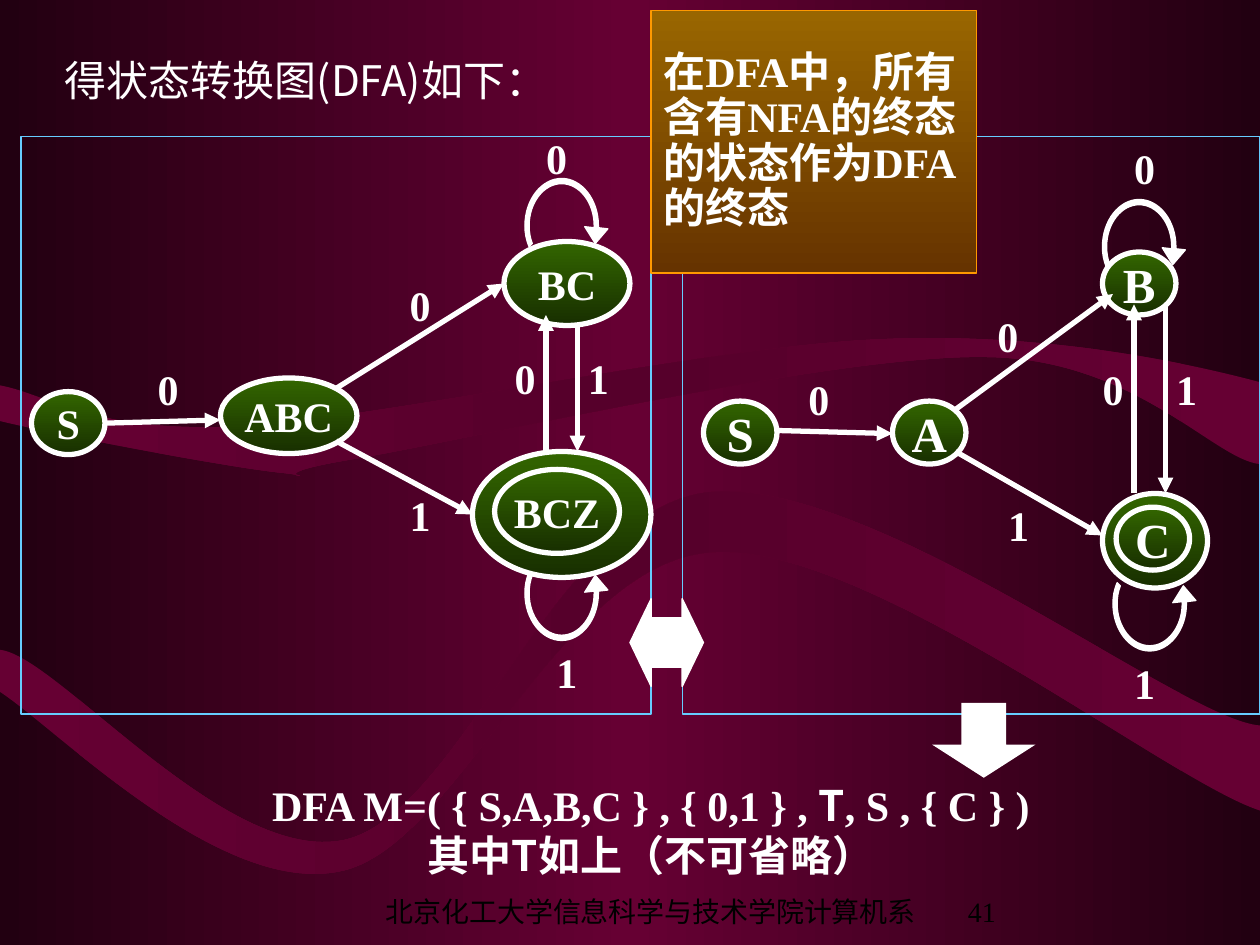
from copy import deepcopy

from lxml import etree
from pptx import Presentation
from pptx import util as u
from pptx.dml.color import RGBColor
from pptx.enum import shapes, text
from pptx.oxml.ns import qn

PX = 7620  # 120 px to the inch
WHITE = RGBColor(0xFF, 0xFF, 0xFF)
BLACK = RGBColor(0x00, 0x00, 0x00)
DARK = RGBColor(0x22, 0x00, 0x11)
WINE = RGBColor(0x66, 0x00, 0x33)
PLUM = RGBColor(0x56, 0x00, 0x2B)
SKY = RGBColor(0x66, 0xCC, 0xFF)
GREEN = RGBColor(0x33, 0x66, 0x00)
MOSS = RGBColor(0x18, 0x2F, 0x00)
GOLD = RGBColor(0x99, 0x66, 0x00)
BROWN = RGBColor(0x66, 0x33, 0x00)
AMBER = RGBColor(0xFF, 0x99, 0x00)
SERIF, SANS = "Times New Roman", "Noto Sans CJK SC"
KIND = shapes.MSO_SHAPE
LEFT, MID = text.PP_ALIGN.LEFT, text.PP_ALIGN.CENTER
TOP, CENTER, BASE = text.MSO_ANCHOR.TOP, text.MSO_ANCHOR.MIDDLE, text.MSO_ANCHOR.BOTTOM


def blend(fill, angle, *tones):
    """Fill with evenly spaced gradient stops."""
    fill.gradient()
    fill.gradient_angle = angle
    if len(tones) == 3:
        last = fill.gradient_stops[1]._gs
        last.addnext(deepcopy(last))
    for i, (stop, tone) in enumerate(zip(fill.gradient_stops, tones)):
        stop.position = i / (len(tones) - 1)
        stop.color.rgb = tone


def write(shape, paras, size=24, bold=True, align=MID, anchor=TOP, color=WHITE, wrap=True, gap=1.0):
    """Set paragraphs, each a list of (words, font) runs."""
    frame = shape.text_frame
    frame.word_wrap = wrap
    frame.vertical_anchor = anchor
    for i, runs in enumerate(paras):
        para = frame.add_paragraph() if i else frame.paragraphs[0]
        para.alignment = align
        para.line_spacing = gap
        for words, face in runs:
            run = para.add_run()
            run.text = words
            run.font.name = face
            run.font.size = u.Pt(size)
            run.font.bold = bold
            run.font.color.rgb = color
            east = etree.SubElement(run.font._element, qn("a:ea"))
            east.set("typeface", SANS)


prs = Presentation()
prs.slide_width, prs.slide_height = 1200 * PX, 900 * PX
prs.element.set("firstSlideNum", "41")
slide = prs.slides.add_slide(prs.slide_layouts[6])
tree = slide.shapes
blend(slide.background.fill, 0, DARK, WINE, DARK)

# Outlines: a start, then steps of one point (line) or three (cubic curve)
waves = [
    [(0, 367), (0, 401), (44, 412, 210, 444, 266, 450), (323, 456, 228, 455, 338, 437),
     (450, 418, 792, 338, 936, 340), (1080, 340, 1156, 438, 1200, 442), (1200, 364),
     (1140, 348, 1003, 316, 841, 323), (679, 329, 368, 398, 228, 406), (88, 413, 48, 376, 0, 367)],
    [(0, 619), (0, 659), (54, 694, 209, 853, 323, 830), (436, 809, 532, 535, 678, 526),
     (824, 515, 1112, 744, 1200, 772), (1200, 691), (1126, 686, 829, 452, 674, 469),
     (529, 487, 440, 775, 328, 800), (215, 824, 54, 624, 0, 619)],
]
ring = [
    (31, 2), (31, 1, 31, 1, 31, 0), (31, -22, 17, -40, 0, -40), (-17, -40, -31, -22, -31, 0),
    (-31, 6, -30, 12, -28, 17), (-31, 20), (-34, 13, -35, 7, -35, 0), (-35, -25, -19, -45, 0, -45),
    (19, -45, 35, -25, 35, 0), (35, 1, 35, 2, 35, 2), (44, 3), (32, 17), (22, 1), (31, 2),
]
spots = [(0, 0, 1, wave) for wave in waves]
spots += [(1085, 235, 1, ring), (535, 215, 1, ring), (1095, 575, -1, ring), (535, 565, -1, ring)]
curves = []
for x, y, side, steps in spots:
    dots = [((x + s[i]) * PX, (y + side * s[i + 1]) * PX) for s in steps for i in range(0, len(s), 2)]
    pen = tree.build_freeform(*dots[0], scale=1.0)
    pen.add_line_segments(dots[1:], close=True)
    curve = pen.convert_to_shape()
    lines = iter(list(curve._element.iter(qn("a:lnTo"))))
    for step in steps[1:]:
        first = next(lines)
        if len(step) == 6:
            first.tag = qn("a:cubicBezTo")
            for other in (next(lines), next(lines)):
                first.append(other[0])
                other.getparent().remove(other)
    if steps is ring:
        curve.fill.solid()
        curve.fill.fore_color.rgb = WHITE
        curve.line.color.rgb = WHITE
        curve.line.width = u.Pt(0.75)
    else:
        blend(curve.fill, 0, WINE, PLUM, WINE)
        curve.line.fill.background()
    curves.append(curve)

foot = tree.add_textbox(340 * PX, 850 * PX, 560 * PX, 40 * PX)
write(foot, [[("北京化工大学信息科学与技术学院计算机系", SERIF)]], 16, False, anchor=BASE, color=BLACK)
page = tree.add_textbox(910 * PX, 850 * PX, 120 * PX, 40 * PX)
write(page, [[("41", SERIF)]], 16, False, LEFT, BASE, BLACK)
field = page.text_frame.paragraphs[0].runs[0]._r
field.tag = qn("a:fld")
field.set("id", "{B6F15528-21DE-4FAA-801E-634DDDAF4B2B}")
field.set("type", "slidenum")

for x, wide in ((20, 600), (650, 550)):
    panel = tree.add_shape(KIND.RECTANGLE, x * PX, 130 * PX, wide * PX, 550 * PX)
    panel.fill.background()
    panel.line.color.rgb = SKY
    panel.line.width = u.Pt(0.75)

title = tree.add_textbox(50 * PX, 51 * PX, 1100 * PX, 70 * PX)
write(title, [[("得状态转换图(DFA)如下：", SANS)]], bold=False, align=LEFT, gap=0.9)

nodes = [
    ("S", 28, 670, 382, 70, 60), ("", 28, 1050, 470, 100, 90), ("C", 28, 1063, 483, 70, 60),
    ("A", 28, 850, 382, 70, 60), ("B", 28, 1050, 240, 70, 60),
    ("S", 24, 30, 373, 70, 60), ("", 24, 450, 430, 170, 120), ("BCZ", 24, 471, 447, 119, 80),
    ("ABC", 24, 210, 360, 130, 72), ("BC", 24, 480, 230, 120, 80),
]
for name, size, *box in nodes:
    node = tree.add_shape(KIND.OVAL, *(v * PX for v in box))
    blend(node.fill, 270, GREEN, MOSS)
    node.line.color.rgb = WHITE
    node.line.width = u.Pt(3)
    if name:
        write(node, [[(name, SERIF)]], size, anchor=CENTER, wrap=False)

moves = [
    (740, 410, 850, 413), (910, 430, 1050, 510), (910, 390, 1060, 280),
    (1110, 290, 1110, 470), (1080, 470, 1080, 290),
    (100, 403, 210, 400), (320, 420, 450, 490), (320, 370, 480, 270),
    (550, 310, 550, 430), (520, 430, 520, 300),
]
for ends in moves:
    move = tree.add_connector(shapes.MSO_CONNECTOR.STRAIGHT, *(v * PX for v in ends))
    move.line.color.rgb = WHITE
    move.line.width = u.Pt(3)
    etree.SubElement(move.line._get_or_add_ln(), qn("a:tailEnd")).set("type", "triangle")

for loop in curves[4:]:  # lower loops lie over the nodes
    tree._spTree.append(loop._element)

labels = {
    "0": [(780, 350), (960, 290), (1090, 130), (1060, 340),
          (160, 340), (400, 260), (530, 120), (500, 330)],
    "1": [(1130, 340), (970, 470), (1090, 620), (570, 330), (400, 460), (540, 610)],
}
for digit, places in labels.items():
    for x, y in places:
        label = tree.add_textbox((x - 40) * PX, y * PX, 80 * PX, 60 * PX)
        write(label, [[(digit, SERIF)]])

note = tree.add_shape(KIND.RECTANGLE, 620 * PX, 10 * PX, 310 * PX, 250 * PX)
blend(note.fill, 270, GOLD, BROWN)
note.line.color.rgb = AMBER
note.line.width = u.Pt(0.75)
write(note, [[("在DFA中，所有含有NFA的终态的状态作为DFA的终态", SERIF)]], align=LEFT, anchor=CENTER, gap=0.9)

result = tree.add_textbox(80 * PX, 720 * PX, 1080 * PX, 140 * PX)
write(result, [
    [("DFA M=( { S,A,B,C } , { 0,1 } , ", SERIF), ("T", SANS), (", S , { C } )", SERIF)],
    [("其中", SERIF), ("T如上（不可省略）", SANS)],
], anchor=CENTER)

for kind, box, bends in (
    (KIND.DOWN_ARROW, (890, 670, 94, 70), (0.44, 0.43)),
    (KIND.LEFT_RIGHT_ARROW, (600, 570, 70, 84), (0.56, 0.29)),
):
    arrow = tree.add_shape(kind, *(v * PX for v in box))
    for i, bend in enumerate(bends):
        arrow.adjustments[i] = bend
    arrow.fill.solid()
    arrow.fill.fore_color.rgb = WHITE
    arrow.line.color.rgb = WHITE
    arrow.line.width = u.Pt(0.75)
    etree.SubElement(arrow.line._get_or_add_ln(), qn("a:miter")).set("lim", "800000")

for shape in tree:  # no shadows
    etree.SubElement(shape._element.spPr, qn("a:effectLst"))

prs.save("out.pptx")
